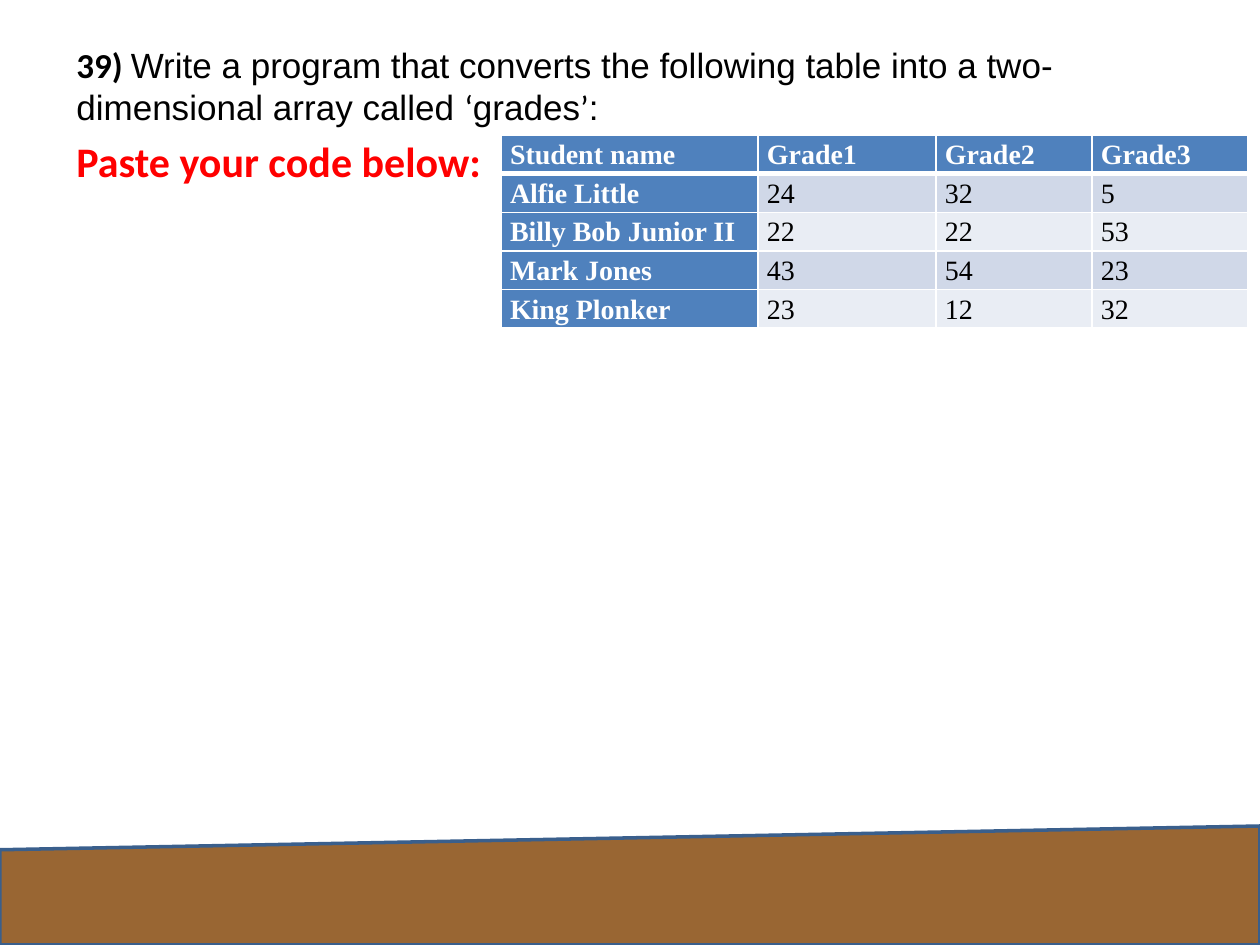
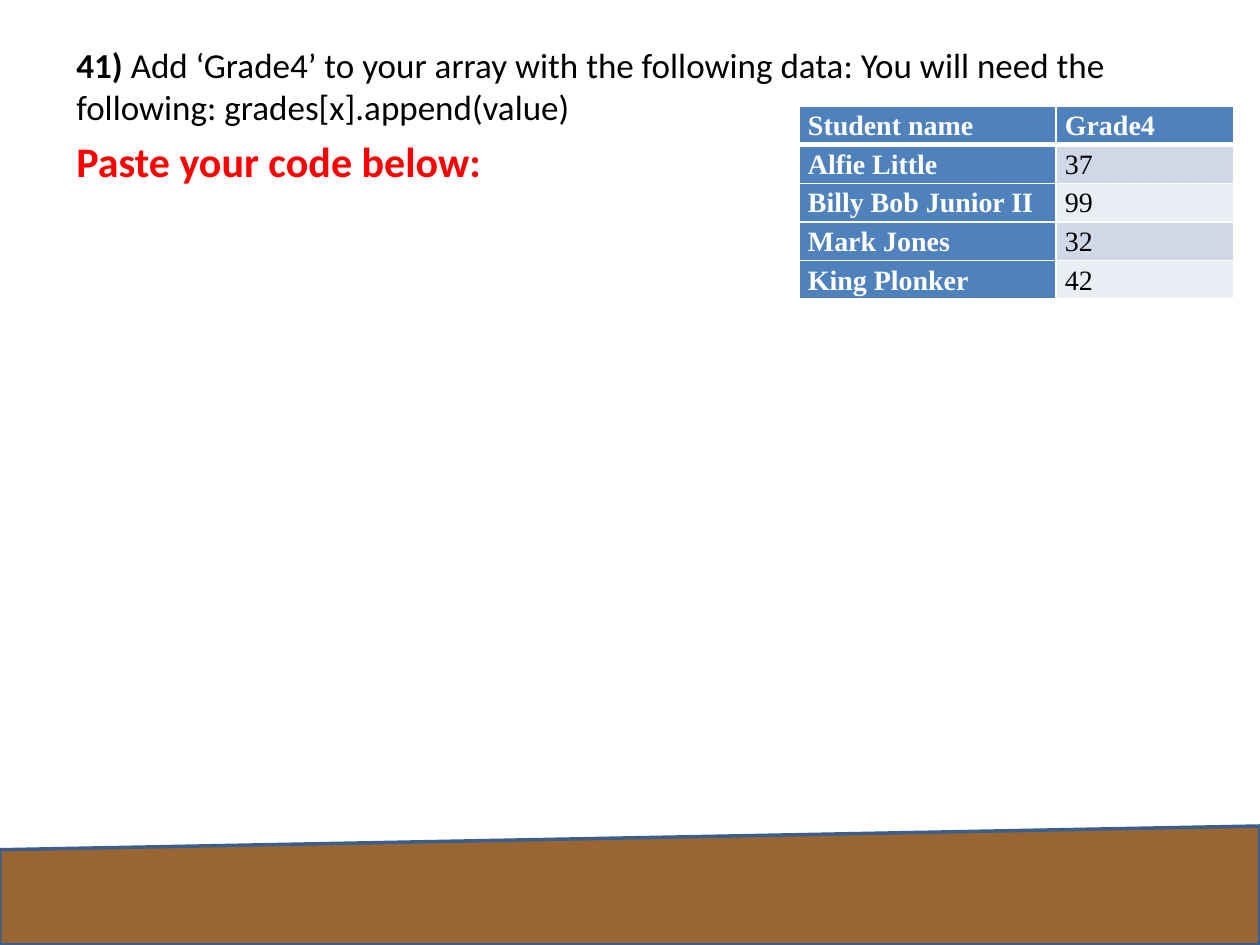
from dataclasses import dataclass

from lxml.etree import SubElement
from pptx import Presentation
from pptx.dml.color import RGBColor
from pptx.enum.shapes import MSO_SHAPE as Preset
from pptx.oxml.ns import qn
from pptx.util import Pt

# Content
PROMPT = "Paste your code below:"
STUDENTS = ["Alfie Little", "Billy Bob Junior II", "Mark Jones", "King Plonker"]
TASKS = [
    {
        "number": "39) ",
        "question": [
            ("Write a program that converts the following table into a "
             "two-dimensional array called ", "Arial"),
            ("‘", "Calibri"), ("grades", "Arial"), ("’", "Calibri"), (":", "Arial"),
        ],
        "grades": {"Grade1": [24, 22, 43, 23],
                   "Grade2": [32, 22, 54, 12],
                   "Grade3": [5, 53, 23, 32]},
        "table_at": (501, 135),
    },
    {
        "number": "41) ",
        "question": [
            ("Add ‘Grade4’ to your array with the following data: You will need "
             "the following: grades[x].append(value)", "Calibri"),
        ],
        "grades": {"Grade4": [37, 99, 32, 42]},
        "table_at": (799, 106),
    },
]


@dataclass(frozen=True)
class Theme:
    ink: str = "000000"
    paper: str = "FFFFFF"
    prompt: str = "FF0000"
    band: str = "996633"
    band_line: str = "3A5F8C"
    header: str = "4F81BD"
    stripes: tuple = ("D0D8E8", "E9EDF4")
    text_font: str = "Calibri"
    table_font: str = "Times New Roman"
    question_size: int = 20
    prompt_size: int = 24
    table_size: int = 16


THEME = Theme()

# Layout, in px
SCALE = 914400 / 126
SLIDE_W, SLIDE_H = 1260, 945
BAND = (0, 826, 1260, 119)
QUESTION_BOX = (64, 37, 1134, 624)
COLUMN_WIDTHS = (257, 178, 156, 156)
ROW_H = 36
CELL_INSET = 9


def px(length):
    return round(length * SCALE)


def style(run, size, color, font, bold=False):
    run.font.size = Pt(size)
    run.font.name = font
    run.font.bold = bold
    run.font.color.rgb = RGBColor.from_string(color)


def fill(part, color):
    part.fill.solid()
    part.fill.fore_color.rgb = RGBColor.from_string(color)


def add_band(slide):
    band = slide.shapes.add_shape(Preset.FLOWCHART_MANUAL_INPUT, *map(px, BAND))
    band.shadow.inherit = False
    fill(band, THEME.band)
    band.line.color.rgb = RGBColor.from_string(THEME.band_line)
    band.line.width = Pt(2)


def add_question(slide, number, pieces):
    frame = slide.shapes.add_textbox(*map(px, QUESTION_BOX)).text_frame
    frame.word_wrap = True
    question = frame.paragraphs[0]
    for words, font in [(number, THEME.text_font), *pieces]:
        run = question.add_run()
        run.text = words
        style(run, THEME.question_size, THEME.ink, font, bold=words == number)
    prompt = frame.add_paragraph()
    prompt.text = PROMPT
    prompt.space_before = Pt(0.2 * THEME.prompt_size)
    style(prompt.runs[0], THEME.prompt_size, THEME.prompt, THEME.text_font, bold=True)


def add_borders(cell, widths):
    """Draw white cell edges; they must precede the fill in the cell XML."""
    properties = cell._tc.get_or_add_tcPr()
    for edge, width in widths.items():
        line = SubElement(properties, qn(f"a:{edge}"), w=str(Pt(width)))
        paint = SubElement(line, qn("a:solidFill"))
        SubElement(paint, qn("a:srgbClr"), val=THEME.paper)


def fill_cell(cell, value, row, column):
    heading = row == 0 or column == 0
    cell.margin_left = cell.margin_right = px(CELL_INSET)
    cell.margin_top = cell.margin_bottom = 0
    add_borders(cell, {"lnL": 1, "lnR": 1,
                       "lnT": 3 if row == 1 else 1,
                       "lnB": 3 if row == 0 else 1})
    fill(cell, THEME.header if heading else THEME.stripes[(row - 1) % 2])
    cell.text_frame.text = str(value)
    paragraph = cell.text_frame.paragraphs[0]
    paragraph.line_spacing = 1.15
    paragraph.space_after = Pt(10)
    style(paragraph.runs[0], THEME.table_size,
          THEME.paper if heading else THEME.ink, THEME.table_font, bold=heading)


def add_grades(slide, grades, table_at):
    rows = [["Student name", *grades], *zip(STUDENTS, *grades.values())]
    widths = COLUMN_WIDTHS[:len(rows[0])]
    size = (sum(widths), ROW_H * len(rows))
    table = slide.shapes.add_table(len(rows), len(widths),
                                   *map(px, table_at + size)).table
    table.horz_banding = False
    for column, width in zip(table.columns, widths):
        column.width = px(width)
    for r, row in enumerate(rows):
        for c, value in enumerate(row):
            fill_cell(table.cell(r, c), value, r, c)


def main():
    deck = Presentation()
    deck.slide_width, deck.slide_height = px(SLIDE_W), px(SLIDE_H)
    for task in TASKS:
        slide = deck.slides.add_slide(deck.slide_layouts[6])
        add_band(slide)
        add_question(slide, task["number"], task["question"])
        add_grades(slide, task["grades"], task["table_at"])
    deck.save("out.pptx")


if __name__ == "__main__":
    main()
